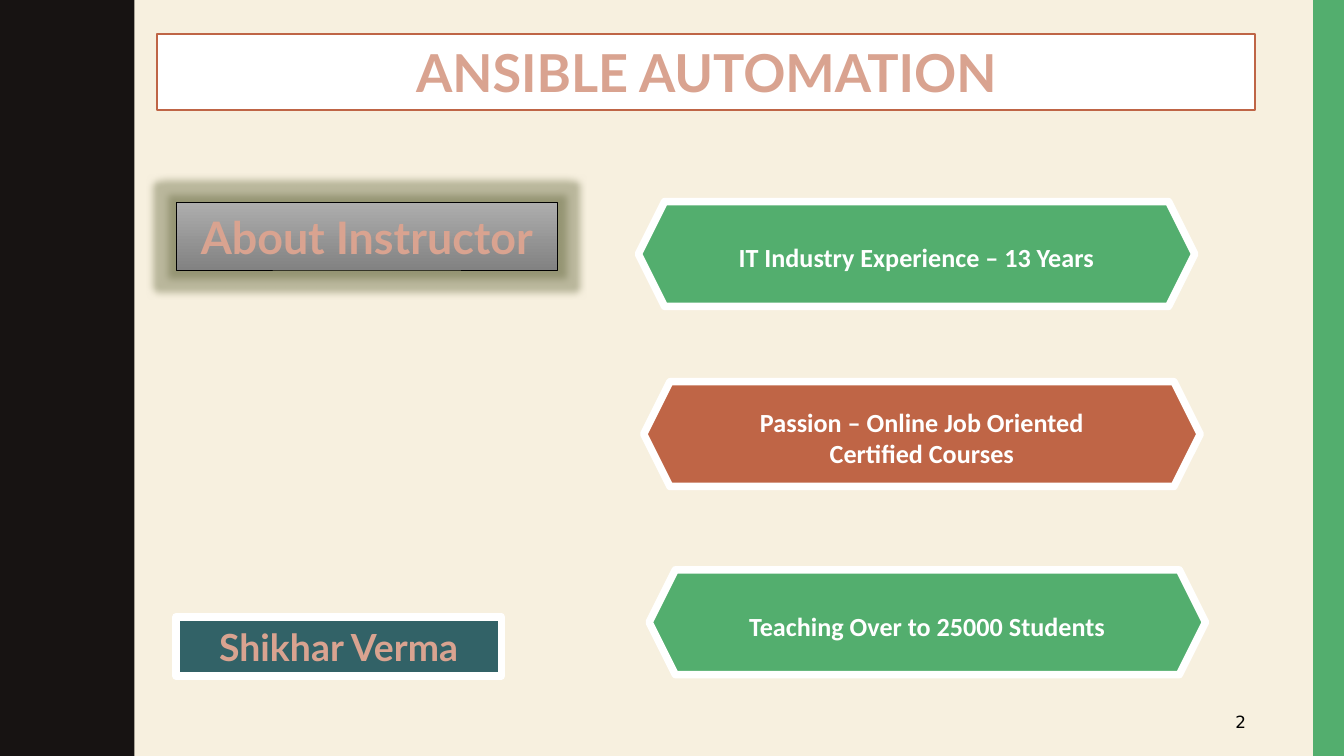
"""Build the instructor introduction slide of an Ansible course."""
from math import cos, pi

from lxml.etree import SubElement
from pptx import Presentation
from pptx.dml.color import RGBColor
from pptx.enum.shapes import MSO_SHAPE
from pptx.enum.text import MSO_ANCHOR, MSO_AUTO_SIZE, PP_ALIGN
from pptx.oxml import parse_xml
from pptx.oxml.ns import qn
from pptx.util import Inches, Pt

CREAM = RGBColor(0xF7, 0xF0, 0xDF)
INK = RGBColor(0x17, 0x13, 0x12)
GREEN = RGBColor(0x53, 0xAE, 0x6E)
RUST = RGBColor(0xBF, 0x65, 0x46)
PEACH = RGBColor(0xD9, 0xA3, 0x90)
TEAL = RGBColor(0x32, 0x62, 0x67)
LIGHT_GRAY = RGBColor(0xAD, 0xAD, 0xAD)
DARK_GRAY = RGBColor(0x82, 0x82, 0x82)
WHITE = RGBColor(0xFF, 0xFF, 0xFF)
BLACK = RGBColor(0, 0, 0)

WIDTH, HEIGHT = 10, 5.625
TITLE = "ANSIBLE AUTOMATION"
HEADING = "About Instructor"
INSTRUCTOR = "Shikhar Verma"
PAGE_NUMBER = "2"
FACTS = [
    ("IT Industry Experience – 13 Years", GREEN, 4.75, 1.5),
    ("Passion – Online Job Oriented Certified Courses", RUST, 4.79, 2.84),
    ("Teaching Over to 25000 Students", GREEN, 4.83, 4.24),
]
FACT_SIZE = (4.14, 0.78)
WAVE_CENTER, WAVE_DEPTH, WAVE_COUNT, WAVE_STEPS = 0.65, 0.07, 5, 24
GLOW = (
    '<a:glow xmlns:a="http://schemas.openxmlformats.org/drawingml/2006/main" rad="101600">'
    '<a:srgbClr val="5F6338"><a:alpha val="40000"/></a:srgbClr></a:glow>'
)


def paint(shape, fill, line=None, line_width=0):
    shape.shadow.inherit = False
    shape.fill.solid()
    shape.fill.fore_color.rgb = fill
    if line is None:
        shape.line.fill.background()
    else:
        shape.line.color.rgb = line
        shape.line.width = Pt(line_width)
        SubElement(shape.line._get_or_add_ln(), qn("a:round"))


def write(shape, text, font_name, size, color, bold=True, align=PP_ALIGN.CENTER):
    frame = shape.text_frame
    frame.auto_size = MSO_AUTO_SIZE.NONE
    frame.word_wrap = True
    frame.vertical_anchor = MSO_ANCHOR.MIDDLE
    frame.margin_left = frame.margin_right = Inches(0.1)
    frame.margin_top = frame.margin_bottom = Inches(0.05)
    frame.text = text
    paragraph = frame.paragraphs[0]
    paragraph.alignment = align
    font = paragraph.font
    font.name, font.size, font.bold = font_name, Pt(size), bold
    font.color.rgb = color


def add_preset(slide, kind, left, top, width, height):
    return slide.shapes.add_shape(
        kind, Inches(left), Inches(top), Inches(width), Inches(height))


def add_wavy_edge(slide):
    count = WAVE_COUNT * WAVE_STEPS
    edge = [
        (WAVE_CENTER - WAVE_DEPTH * cos(2 * pi * i / WAVE_STEPS), HEIGHT * i / count)
        for i in range(count + 1)
    ]
    builder = slide.shapes.build_freeform(0, 0, scale=Inches(1))
    builder.add_line_segments(edge + [(0, HEIGHT)], close=True)
    paint(builder.convert_to_shape(), INK)


def main():
    deck = Presentation()
    deck.slide_width, deck.slide_height = Inches(WIDTH), Inches(HEIGHT)
    slide = deck.slides.add_slide(deck.slide_layouts[5])
    slide.background.fill.solid()
    slide.background.fill.fore_color.rgb = CREAM

    add_wavy_edge(slide)
    paint(add_preset(slide, MSO_SHAPE.RECTANGLE, 9.77, 0, 0.23, HEIGHT), GREEN)

    title = slide.shapes.title
    title.left, title.top = Inches(1.17), Inches(0.25)
    title.width, title.height = Inches(8.17), Inches(0.57)
    title.fill.solid()
    title.fill.fore_color.rgb = WHITE
    title.line.color.rgb = RUST
    title.line.width = Pt(1)
    write(title, TITLE, "Lato", 28, PEACH)

    instructor = add_preset(slide, MSO_SHAPE.RECTANGLE, 1.31, 4.59, 2.42, 0.44)
    paint(instructor, TEAL, WHITE, 4)
    write(instructor, INSTRUCTOR, "Lato", 20, PEACH)

    heading = add_preset(slide, MSO_SHAPE.RECTANGLE, 1.31, 1.51, 2.84, 0.5)
    paint(heading, LIGHT_GRAY, BLACK, 0.5)
    heading.fill.gradient()
    heading.fill.gradient_angle = 270
    for stop, color in zip(heading.fill.gradient_stops, (LIGHT_GRAY, DARK_GRAY)):
        stop.color.rgb = color
    heading._element.spPr.find(qn("a:effectLst")).append(parse_xml(GLOW))
    write(heading, HEADING, "Lato", 24, PEACH)

    for text, fill, left, top in FACTS:
        fact = add_preset(slide, MSO_SHAPE.HEXAGON, left, top, *FACT_SIZE)
        paint(fact, fill, WHITE, 4)
        write(fact, text, "Calibri", 14, WHITE)
        fact.text_frame.margin_top = Inches(0.1)

    page_number = slide.shapes.add_textbox(
        Inches(7.06), Inches(5.23), Inches(2.31), Inches(0.28))
    write(page_number, PAGE_NUMBER, "DejaVu Sans", 9, BLACK, False, PP_ALIGN.RIGHT)

    deck.save("out.pptx")


if __name__ == "__main__":
    main()
